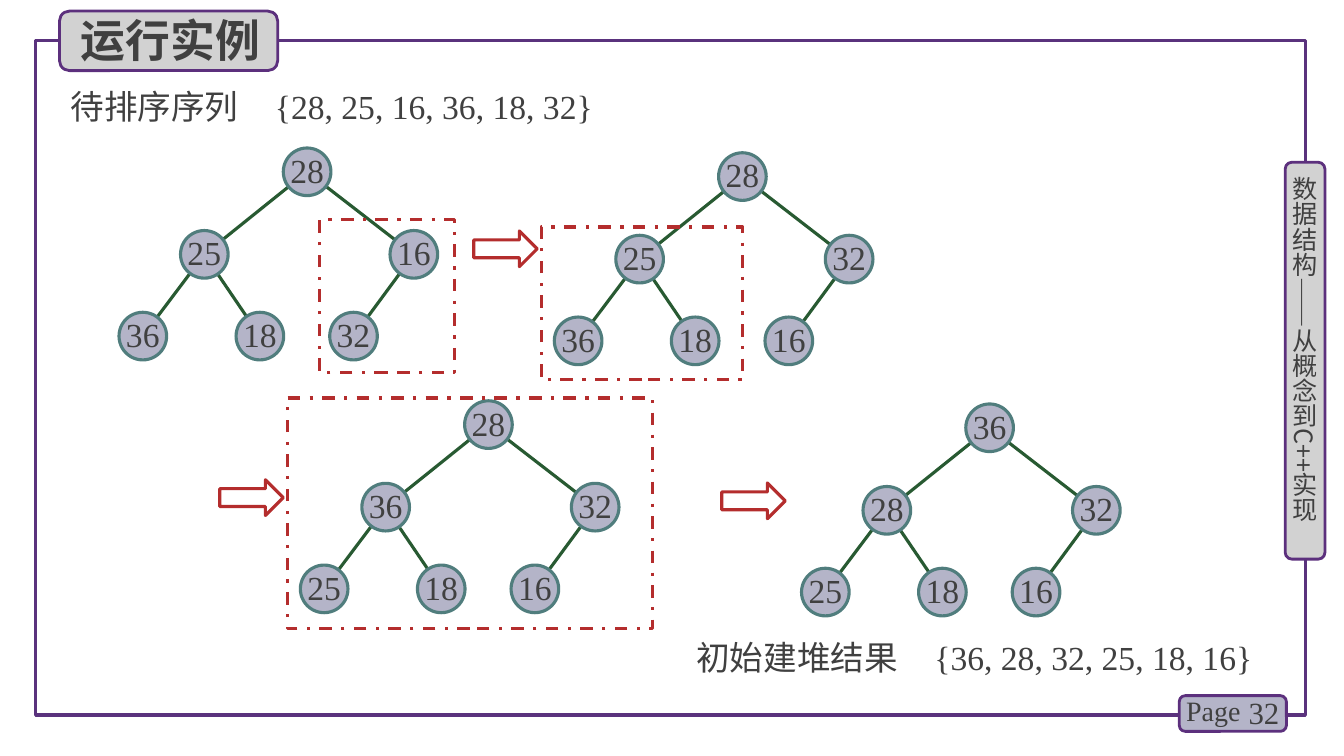
import math

import pptx
import pptx.dml.color
import pptx.enum.dml
import pptx.enum.shapes
import pptx.enum.text
import pptx.oxml
import pptx.oxml.ns
import pptx.util
from lxml import etree

Cm = pptx.util.Cm
Pt = pptx.util.Pt
SHAPE = pptx.enum.shapes.MSO_SHAPE
ANCHOR = pptx.enum.text.MSO_ANCHOR
ALIGN = pptx.enum.text.PP_ALIGN
qn = pptx.oxml.ns.qn

COLORS = {
    "text": "404040", "frame": "5A327D", "border": "5C307D", "panel": "D2D2D2",
    "node": "B4B4C8", "ring": "507D7D", "edge": "285A32", "mark": "B42D2D",
}
SERIF = "Times New Roman"
SANS = "Noto Sans CJK SC"
NODE = 1.2
NODE_SPOTS = [(4.14, 0), (1.55, 2.08), (6.83, 2.08), (0, 4.14), (2.95, 4.14), (5.31, 4.14)]


def rgb(name):
    return pptx.dml.color.RGBColor.from_string(COLORS[name])


def add_box(s, kind, box, line, width, fill=None, dash=None):
    sp = s.shapes.add_shape(kind, *map(Cm, box))
    sp.shadow.inherit = False
    if fill:
        sp.fill.solid()
        sp.fill.fore_color.rgb = rgb(fill)
    else:
        sp.fill.background()
    sp.line.color.rgb = rgb(line)
    sp.line.width = Pt(width)
    if dash:
        sp.line.dash_style = dash
    return sp


def write(sp, text, size, font=SERIF, bold=False, align=ALIGN.LEFT, anchor=ANCHOR.TOP, inset=None):
    tf = sp.text_frame
    tf.text = text
    tf.word_wrap = True
    tf.auto_size = pptx.enum.text.MSO_AUTO_SIZE.NONE
    tf.vertical_anchor = anchor
    if inset is not None:
        tf.margin_left = tf.margin_right = tf.margin_top = tf.margin_bottom = Cm(inset)
    p = tf.paragraphs[0]
    p.alignment = align
    for r in p.runs:
        r.font.size = Pt(size)
        r.font.name = font
        r.font.bold = bold
        r.font.color.rgb = rgb("text")
        ea = etree.SubElement(r.font._element, qn("a:ea"))
        ea.set("typeface", SANS)
    return tf


def add_text(s, box, text, size, **style):
    return write(s.shapes.add_textbox(*map(Cm, box)), text, size, **style)


def add_frame(s, x, y, w, h):
    add_box(s, SHAPE.RECTANGLE, (x, y, w, h), "frame", 2.25)


def add_page_label(s, x, y, w, h):
    add_box(s, SHAPE.ROUNDED_RECTANGLE, (x, y, w, h), "border", 2, "node")
    add_text(s, (x + 1.27, y - 0.1, 1.5, 1.02), "32", 22, align=ALIGN.RIGHT, anchor=ANCHOR.MIDDLE)
    add_text(s, (x - 0.08, y - 0.18, 1.98, 1.12), "Page", 20)


def add_side_label(s, x, y, w, h):
    add_box(s, SHAPE.ROUNDED_RECTANGLE, (x, y, w, h), "border", 2, "panel")
    tf = add_text(s, (x + 0.1, y + 0.36, 0.76, 9.6), "数据结构——从概念到C++实现", 18, font=SANS, inset=0)
    tf._txBody.bodyPr.set("vert", "eaVert")


def add_title(s, x, y, w, h):
    card = add_box(s, SHAPE.ROUNDED_RECTANGLE, (x, y, w, h), "border", 2, "panel")
    title = s.shapes.title
    title.left, title.top, title.width, title.height = map(Cm, (x + 0.28, y - 0.1, 5.08, 1.63))
    write(title, "运行实例", 32, font=SANS, bold=True, anchor=ANCHOR.MIDDLE)
    card.element.addnext(title.element)


def add_sequence(s, box, label, values, stop):
    text = label + "\t{" + ", ".join(map(str, values)) + "}"
    tf = add_text(s, box, text, 24, inset=0)
    tabs = etree.SubElement(tf.paragraphs[0]._p.get_or_add_pPr(), qn("a:tabLst"))
    etree.SubElement(tabs, qn("a:tab"), pos=str(Cm(stop)), algn="l")


def add_edge(s, parent, child):
    angle = math.atan2(child[1] - parent[1], child[0] - parent[0])
    dx, dy = NODE / 2 * math.cos(angle), NODE / 2 * math.sin(angle)
    ends = (parent[0] + dx, parent[1] + dy, child[0] - dx, child[1] - dy)
    c = s.shapes.add_connector(pptx.enum.shapes.MSO_CONNECTOR.STRAIGHT, *map(Cm, ends))
    c.line.color.rgb = rgb("edge")
    c.line.width = Pt(2.25)
    etree.SubElement(c.element.spPr, qn("a:effectLst"))


def add_tree(s, x, y, values):
    centers = [(x + dx + NODE / 2, y + dy + NODE / 2) for dx, dy in NODE_SPOTS]
    for i in range(1, len(values)):
        add_edge(s, centers[(i - 1) // 2], centers[i])
    for value, (cx, cy) in zip(values, centers):
        box = (cx - NODE / 2, cy - NODE / 2, NODE, NODE)
        sp = add_box(s, SHAPE.OVAL, box, "ring", 2.25, "node")
        tf = write(sp, str(value), 24, align=ALIGN.CENTER, inset=0)
        tf.word_wrap = False
        tf.paragraphs[0].line_spacing = Pt(25)


def add_mark(s, x, y, w, h):
    add_box(s, SHAPE.RECTANGLE, (x, y, w, h), "mark", 2.25, dash=pptx.enum.dml.MSO_LINE.DASH_DOT)


def add_arrow(s, x, y):
    add_box(s, SHAPE.RIGHT_ARROW, (x, y, 1.6, 0.9), "mark", 2.25)


def main():
    prs = pptx.Presentation()
    prs.slide_width, prs.slide_height = Cm(33.87), Cm(19.05)
    s = prs.slides.add_slide(prs.slide_layouts[5])

    add_frame(s, 0.9, 1.02, 32, 17)
    add_page_label(s, 29.72, 17.53, 2.7, 0.9)
    add_side_label(s, 32.39, 4.09, 1, 10)
    add_title(s, 1.5, 0.28, 5.5, 1.5)

    start = [28, 25, 16, 36, 18, 32]
    heap = [36, 28, 32, 25, 18, 16]
    add_sequence(s, (1.78, 2.16, 13.92, 1.02), "待排序序列", start, 5.15)
    add_tree(s, 3, 3.73, start)
    add_mark(s, 8.05, 5.54, 3.4, 3.84)
    add_arrow(s, 11.94, 5.82)
    add_tree(s, 13.97, 3.85, [28, 25, 32, 36, 18, 16])
    add_mark(s, 13.64, 5.72, 5.08, 3.84)
    add_arrow(s, 5.54, 12.09)
    add_tree(s, 7.57, 10.1, [28, 36, 32, 25, 18, 16])
    add_mark(s, 7.24, 10.03, 9.2, 5.82)
    add_arrow(s, 18.19, 12.17)
    add_tree(s, 20.2, 10.18, heap)
    add_sequence(s, (17.55, 16.05, 14.71, 1.02), "初始建堆结果", heap, 6)

    prs.save("out.pptx")


if __name__ == "__main__":
    main()
